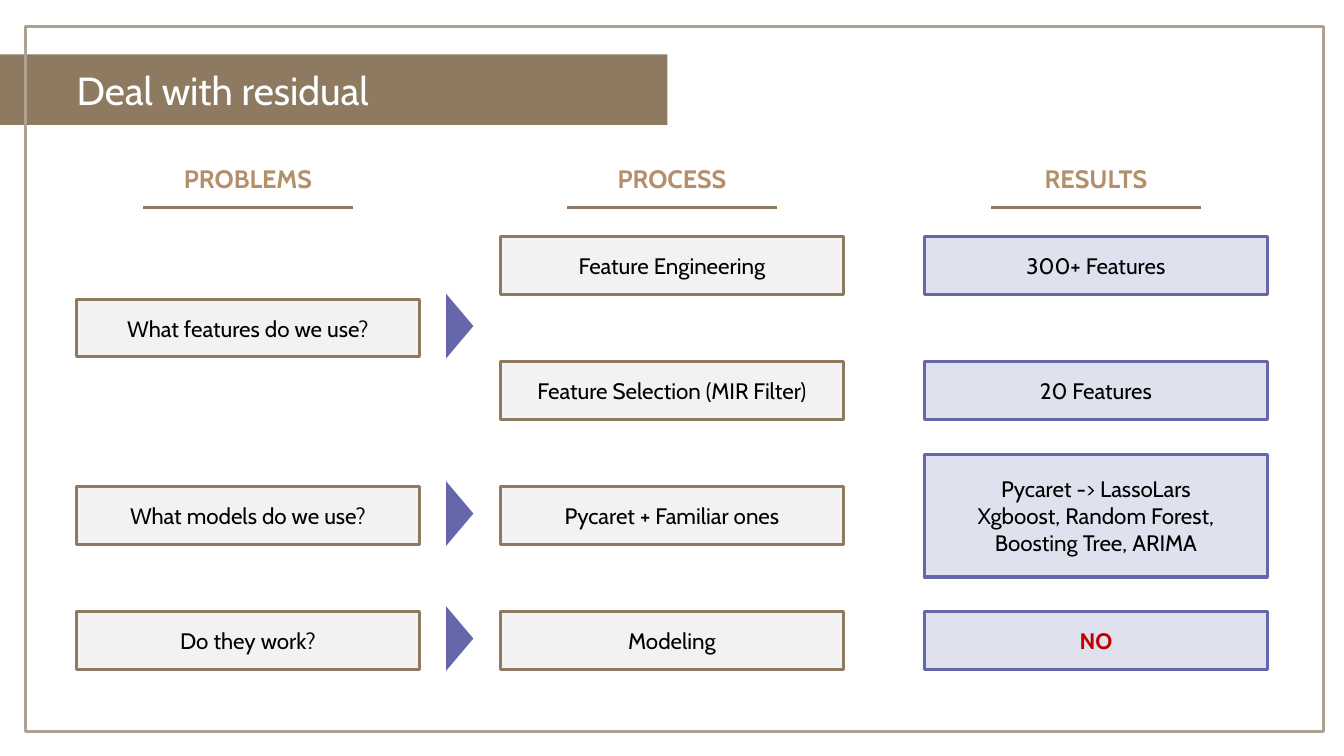
from dataclasses import dataclass

from lxml import etree
from pptx import Presentation
from pptx import util as u
from pptx.dml.color import RGBColor
from pptx.enum import shapes, text
from pptx.oxml.ns import qn

BROWN = RGBColor(0x8F, 0x79, 0x61)
BANNER = RGBColor(0x8E, 0x79, 0x61)
FRAME = RGBColor(0xAE, 0xA3, 0x92)
TAN = RGBColor(0xB3, 0x8F, 0x6A)
GREY = RGBColor(0xF2, 0xF2, 0xF2)
PURPLE = RGBColor(0x66, 0x67, 0xAB)
LILAC = RGBColor(0xE0, 0xE1, 0xEE)
RED = RGBColor(0xC0, 0x00, 0x00)
BLACK = RGBColor(0, 0, 0)
WHITE = RGBColor(0xFF, 0xFF, 0xFF)

RECT = shapes.MSO_SHAPE.RECTANGLE
TRIANGLE = shapes.MSO_SHAPE.ISOSCELES_TRIANGLE
CENTER = text.PP_ALIGN.CENTER

COLUMN_LEFT, COLUMN_STEP, BOX_WIDTH = 0.76, 4.205, 3.4
ROW_MIDDLE, ROW_STEP = 2.635, 1.24
RULE_WIDTH, RULE_TOP = 2.08, 2.06


@dataclass
class Step:
    row: float
    lines: list[str]
    height: float = 0.57
    color: RGBColor = BLACK
    bold: bool = False


@dataclass
class Column:
    heading: str
    fill: RGBColor
    border: RGBColor
    steps: list[Step]


COLUMNS = [
    Column("PROBLEMS", GREY, BROWN, [
        Step(0.5, ["What features do we use?"]),
        Step(2, ["What models do we use?"]),
        Step(3, ["Do they work?"]),
    ]),
    Column("PROCESS", GREY, BROWN, [
        Step(0, ["Feature Engineering"]),
        Step(1, ["Feature Selection (MIR Filter)"]),
        Step(2, ["Pycaret + Familiar ones"]),
        Step(3, ["Modeling"]),
    ]),
    Column("RESULTS", LILAC, PURPLE, [
        Step(0, ["300+ Features"]),
        Step(1, ["20 Features"]),
        Step(2, ["Pycaret -> LassoLars", "Xgboost, Random Forest,",
                 "Boosting Tree, ARIMA"], height=1.22),
        Step(3, ["NO"], color=RED, bold=True),
    ]),
]


def place(shape, left: float, top: float, width: float, height: float) -> None:
    values = {"left": left, "top": top, "width": width, "height": height}
    for name, value in values.items():
        setattr(shape, name, u.Inches(value))


def write(shape, lines: list[str], size: float, color: RGBColor,
          bold: bool = False, align=CENTER,
          anchor=text.MSO_ANCHOR.MIDDLE, wrap: bool = True) -> None:
    frame = shape.text_frame
    frame.word_wrap = wrap
    frame.vertical_anchor = anchor
    frame.text = "\n".join(lines)
    for para in frame.paragraphs:
        para.alignment = align
        for span in para.runs:
            font = {"name": "Cabin", "size": u.Pt(size), "bold": bold}
            for name, value in font.items():
                setattr(span.font, name, value)
            span.font.color.rgb = color


def add_box(page, kind, left: float, top: float, width: float, height: float,
            fill: RGBColor | None = None, border: RGBColor | None = None,
            weight: float = 2.25):
    box = page.shapes.add_shape(kind, *map(u.Inches, (left, top, width, height)))
    box.shadow.inherit = False
    if fill is None:
        box.fill.background()
    else:
        box.fill.solid()
        box.fill.fore_color.rgb = fill
    if border is None:
        box.line.fill.background()
    else:
        box.line.color.rgb = border
        box.line.width = u.Pt(weight)
    return box


def add_heading(page, heading: str, middle: float) -> None:
    left = middle - RULE_WIDTH / 2
    label = page.shapes.add_textbox(
        *map(u.Inches, (left, 1.57, RULE_WIDTH, 0.4)))
    write(label, [heading], 18, TAN, bold=True, anchor=text.MSO_ANCHOR.TOP)
    rule = page.shapes.add_connector(
        shapes.MSO_CONNECTOR.STRAIGHT,
        *map(u.Inches, (left, RULE_TOP, left + RULE_WIDTH, RULE_TOP)))
    rule.line.color.rgb = BROWN
    rule.line.width = u.Pt(2.25)
    etree.SubElement(rule.element.spPr, qn("a:effectLst"))


def add_column(page, index: int, column: Column) -> None:
    left = COLUMN_LEFT + index * COLUMN_STEP
    add_heading(page, column.heading, left + BOX_WIDTH / 2)
    for step in column.steps:
        top = ROW_MIDDLE + step.row * ROW_STEP - step.height / 2
        box = add_box(page, RECT, left, top, BOX_WIDTH, step.height,
                      column.fill, column.border)
        write(box, step.lines, 16, step.color, step.bold)


def main() -> None:
    deck = Presentation()
    deck.slide_width = u.Inches(13.33)
    deck.slide_height = u.Inches(7.5)
    page = deck.slides.add_slide(deck.slide_layouts[5])

    # Banner and frame, with the title in front
    add_box(page, RECT, 0, 0.54, 6.62, 0.7, BANNER)
    add_box(page, RECT, 0.25, 0.26, 12.88, 7, border=FRAME, weight=2)
    title = page.shapes.title
    title.element.getparent().append(title.element)
    place(title, 0.66, 0.61, 3.27, 0.57)
    write(title, ["Deal with residual"], 28, WHITE, align=text.PP_ALIGN.LEFT,
          anchor=text.MSO_ANCHOR.TOP, wrap=False)
    title.text_frame.auto_size = text.MSO_AUTO_SIZE.NONE

    # Columns of steps
    for index, column in enumerate(COLUMNS):
        add_column(page, index, column)

    # Pointers from each problem to its process
    for problem in COLUMNS[0].steps:
        middle = ROW_MIDDLE + problem.row * ROW_STEP - 0.02
        pointer = add_box(page, TRIANGLE, 4.24, middle - 0.135, 0.64, 0.27, PURPLE)
        pointer.rotation = 90

    deck.save("out.pptx")


if __name__ == "__main__":
    main()
